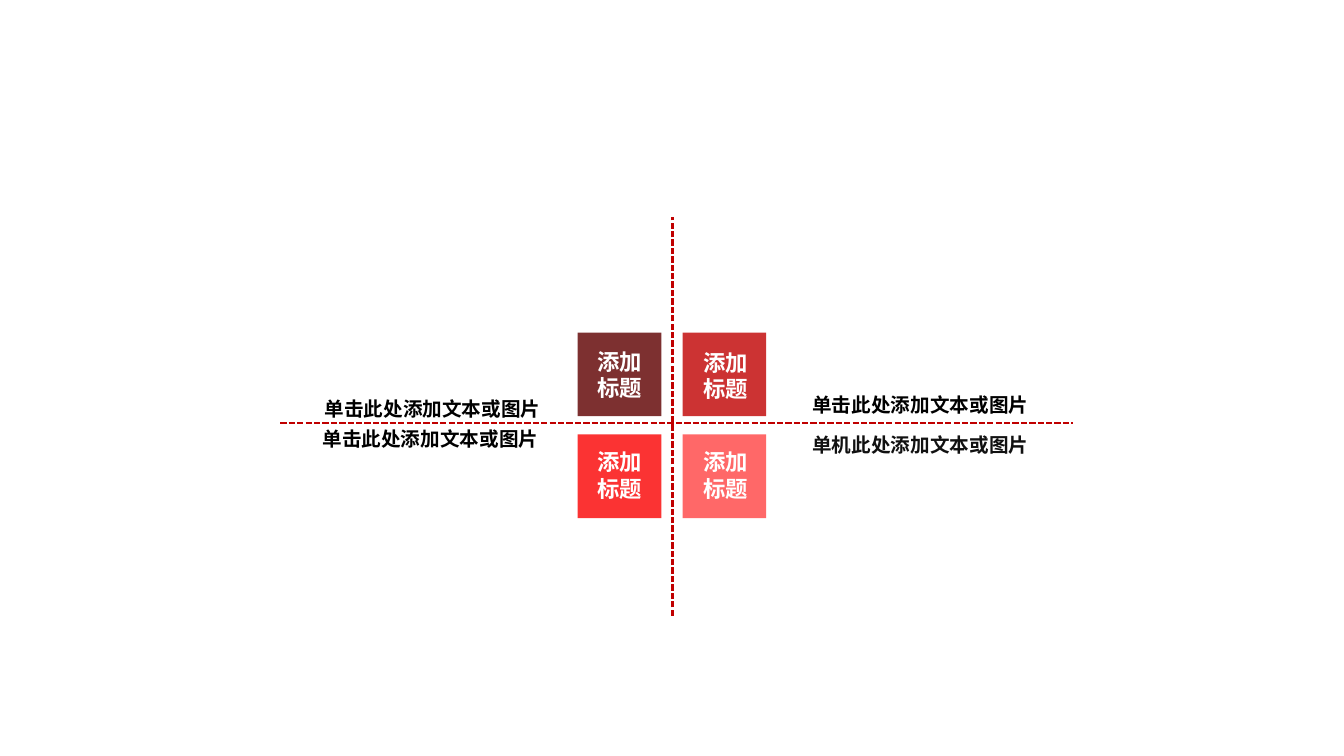
"""Build a four-quadrant slide with tinted squares, dashed axes and captions."""
from lxml import etree
from pptx import Presentation
from pptx.dml.color import RGBColor
from pptx.enum import dml, shapes, text
from pptx.oxml import ns
from pptx.util import Inches, Pt


def color(value):
    return RGBColor.from_string(value)


def add_text(container, left, top, width, height, lines, size, font, fill, align):
    box = container.add_textbox(Inches(left), Inches(top), Inches(width), Inches(height))
    frame = box.text_frame
    frame.word_wrap = True
    frame.auto_size = text.MSO_AUTO_SIZE.SHAPE_TO_FIT_TEXT
    frame.text = lines
    for paragraph in frame.paragraphs:
        paragraph.alignment = align
        paragraph.font.size = Pt(size)
        paragraph.font.bold = True
        paragraph.font.name = font
        paragraph.font.color.rgb = color(fill)


presentation = Presentation()
presentation.slide_width = Inches(13.33)
presentation.slide_height = Inches(7.5)
slide = presentation.slides.add_slide(presentation.slide_layouts[6])
center = text.PP_ALIGN.CENTER
left_align = text.PP_ALIGN.LEFT
justify = text.PP_ALIGN.JUSTIFY

quadrants = slide.shapes.add_group_shape().shapes
tints = [("600000", 81), ("C00000", 80), ("FA0000", 80), ("FF4343", 80)]
for index, (tint, opacity) in enumerate(tints):
    row, column = divmod(index, 2)
    square = quadrants.add_shape(
        shapes.MSO_SHAPE.RECTANGLE,
        Inches(5.73 + 1.04 * column), Inches(3.3 + 1.01 * row), Inches(0.83), Inches(0.83))
    square.shadow.inherit = False
    square.line.fill.background()
    square.fill.solid()
    square.fill.fore_color.rgb = color(tint)
    tint_element = square.fill._xPr.find(ns.qn("a:solidFill"))[0]
    etree.SubElement(tint_element, ns.qn("a:alpha"), val=str(opacity * 1000))

for left, top in [(5.7, 3.4), (6.75, 3.41), (5.7, 4.4), (6.75, 4.4)]:
    add_text(quadrants, left, top, 0.89, 0.64, "添加\n标题", 16, "Arial", "FFFFFF", center)

axes = slide.shapes.add_group_shape().shapes
for x1, y1, x2, y2 in [(2.78, 4.2, 10.64, 4.2), (6.67, 6.11, 6.67, 2.15)]:
    axis = axes.add_connector(
        shapes.MSO_CONNECTOR.STRAIGHT, Inches(x1), Inches(y1), Inches(x2), Inches(y2))
    axis.line.color.rgb = color("C00000")
    axis.line.width = Pt(1.5)
    axis.line.dash_style = dml.MSO_LINE.SQUARE_DOT
    etree.SubElement(axis._element.spPr, ns.qn("a:effectLst"))

captions = [
    (3.12, 3.89, 2.54, "单击此处添加文本或图片", "Noto Sans CJK SC", "000000", justify),
    (7.65, 3.85, 2.96, "单击此处添加文本或图片", "Noto Sans CJK SC", "000000", center),
    (3.1, 4.19, 2.96, "单击此处添加文本或图片", "Noto Sans CJK SC", "000000", left_align),
    (7.65, 4.25, 2.96, "单机此处添加文本或图片", "Arial", "111111", center),
]
for left, top, width, caption, font, fill, align in captions:
    add_text(slide.shapes, left, top, width, 0.34, caption, 14, font, fill, align)

presentation.save("out.pptx")
